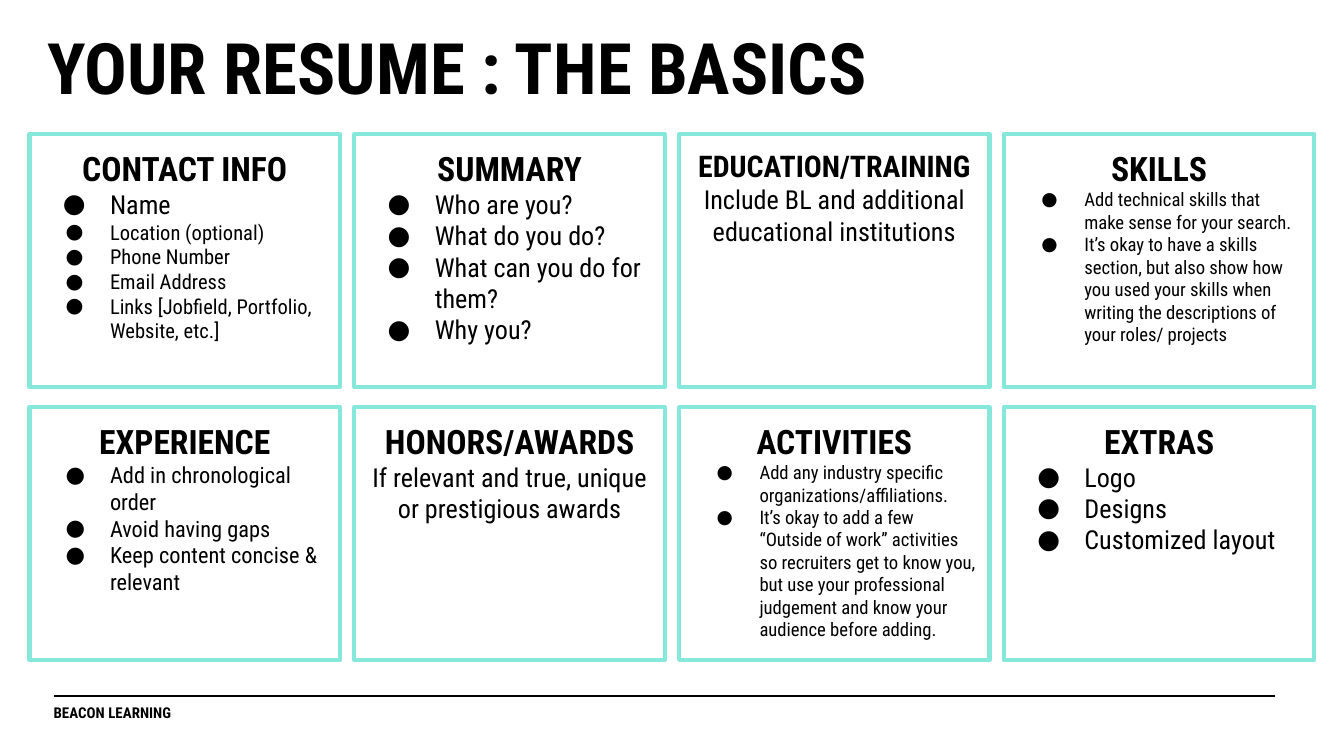
from lxml import etree
from pptx import Presentation
from pptx import util as u
from pptx.dml.color import RGBColor
from pptx.enum import shapes, text
from pptx.oxml.ns import qn

FONT, BLACK, TEAL, WHITE = "Roboto Condensed", "000000", "85E8DA", "FFFFFF"


def color(value):
    return RGBColor.from_string(value)


def add_paragraph(tf, content, size, bold=False, align=text.PP_ALIGN.LEFT, hang=None):
    """Append a paragraph; hang is the bullet's hanging indent in inches."""
    p = tf.paragraphs[0]
    if p.runs:
        p = tf.add_paragraph()
    p.alignment = align
    if hang:
        pPr = p._p.get_or_add_pPr()
        pPr.set("marL", str(u.Inches(0.5)))
        pPr.set("indent", str(-u.Inches(hang)))
        etree.SubElement(pPr, qn("a:buFont")).set("typeface", FONT)
        etree.SubElement(pPr, qn("a:buChar")).set("char", "●")
    r = p.add_run()
    r.text = content
    for name, value in {"name": FONT, "size": u.Pt(size), "bold": bold}.items():
        setattr(r.font, name, value)
    r.font.color.rgb = color(BLACK)
    return p


prs = Presentation()
prs.slide_width = u.Inches(10)
prs.slide_height = prs.slide_width * 9 // 16
s = prs.slides.add_slide(prs.slide_layouts[6])
s.background.fill.solid()
s.background.fill.fore_color.rgb = color(WHITE)

# Footer and title: text, size, left, top, height, side inset, top inset, line spacing
labels = [
    ("BEACON LEARNING", 8, 0.3, 5.15, 0.49, 0.1, 0.14, 1),
    ("YOUR RESUME : THE BASICS", 38, 0.35, 0.23, 0.5, 0, 0, 0.93),
]
for content, size, left, top, height, inset, top_inset, spacing in labels:
    sp = s.shapes.add_textbox(u.Inches(left), u.Inches(top), u.Inches(9.19), u.Inches(height))
    tf = sp.text_frame
    tf.word_wrap = True
    for side in ("left", "right", "bottom"):
        setattr(tf, f"margin_{side}", u.Inches(inset))
    tf.margin_top = u.Inches(top_inset)
    add_paragraph(tf, content, size, bold=True).line_spacing = spacing

rule = s.shapes.add_connector(
    shapes.MSO_CONNECTOR.STRAIGHT, u.Inches(0.4), u.Inches(5.18), u.Inches(9.49), u.Inches(5.18))
rule.line.color.rgb = color(BLACK)
rule.line.width = u.Pt(0.75)
etree.SubElement(rule._element.spPr, qn("a:effectLst"))

# Cards: heading, heading size, bulleted, [(text, size)]
cards = [
    ("CONTACT INFO", 18, True, [
        ("Name", 14), ("Location (optional)", 11), ("Phone Number", 11),
        ("Email Address", 11), ("Links [Jobfield, Portfolio, Website, etc.]", 11)]),
    ("SUMMARY", 18, True, [
        ("Who are you?", 14), ("What do you do?", 14),
        ("What can you do for them?", 14), ("Why you?", 14)]),
    ("EDUCATION/TRAINING", 16, False, [
        ("Include BL and additional educational institutions", 14)]),
    ("SKILLS", 18, True, [
        ("Add technical skills that make sense for your search.", 10),
        ("It’s okay to have a skills section, but also show how you used your skills "
         "when writing the descriptions of your roles/ projects", 10)]),
    ("EXPERIENCE", 18, True, [
        ("Add in chronological order", 12), ("Avoid having gaps", 12),
        ("Keep content concise & relevant", 12)]),
    ("HONORS/AWARDS", 18, False, [
        ("If relevant and true, unique or prestigious awards", 14)]),
    ("ACTIVITIES", 18, True, [
        ("Add any industry specific organizations/affiliations.", 10),
        ("It’s okay to add a few “Outside of work” activities so recruiters get to know "
         "you, but use your professional judgement and know your audience before adding.", 10)]),
    ("EXTRAS", 18, True, [("Logo", 14), ("Designs", 14), ("Customized layout", 14)]),
]
HANG = {10: 0.32, 11: 0.33, 12: 0.33, 14: 0.35}
CENTER = text.PP_ALIGN.CENTER
COLUMN_STEP, ROW_STEP = 7.25 / 3, 2.03

for i, (heading, heading_size, bulleted, items) in enumerate(cards):
    row, col = divmod(i, 4)
    sp = s.shapes.add_shape(
        shapes.MSO_SHAPE.RECTANGLE, u.Inches(0.22 + col * COLUMN_STEP),
        u.Inches(1 + row * ROW_STEP), u.Inches(2.31), u.Inches(1.88))
    sp.shadow.inherit = False
    sp.fill.background()
    sp.line.color.rgb = color(TEAL)
    sp.line.width = u.Pt(2.25)
    tf = sp.text_frame
    tf.word_wrap = True
    tf.vertical_anchor = text.MSO_ANCHOR.TOP
    for side in ("left", "right", "top", "bottom"):
        setattr(tf, f"margin_{side}", u.Inches(0.1))
    add_paragraph(tf, heading, heading_size, bold=True, align=CENTER)
    for content, size in items:
        if bulleted:
            add_paragraph(tf, content, size, hang=HANG[size])
        else:
            add_paragraph(tf, content, size, align=CENTER)

prs.save("out.pptx")
